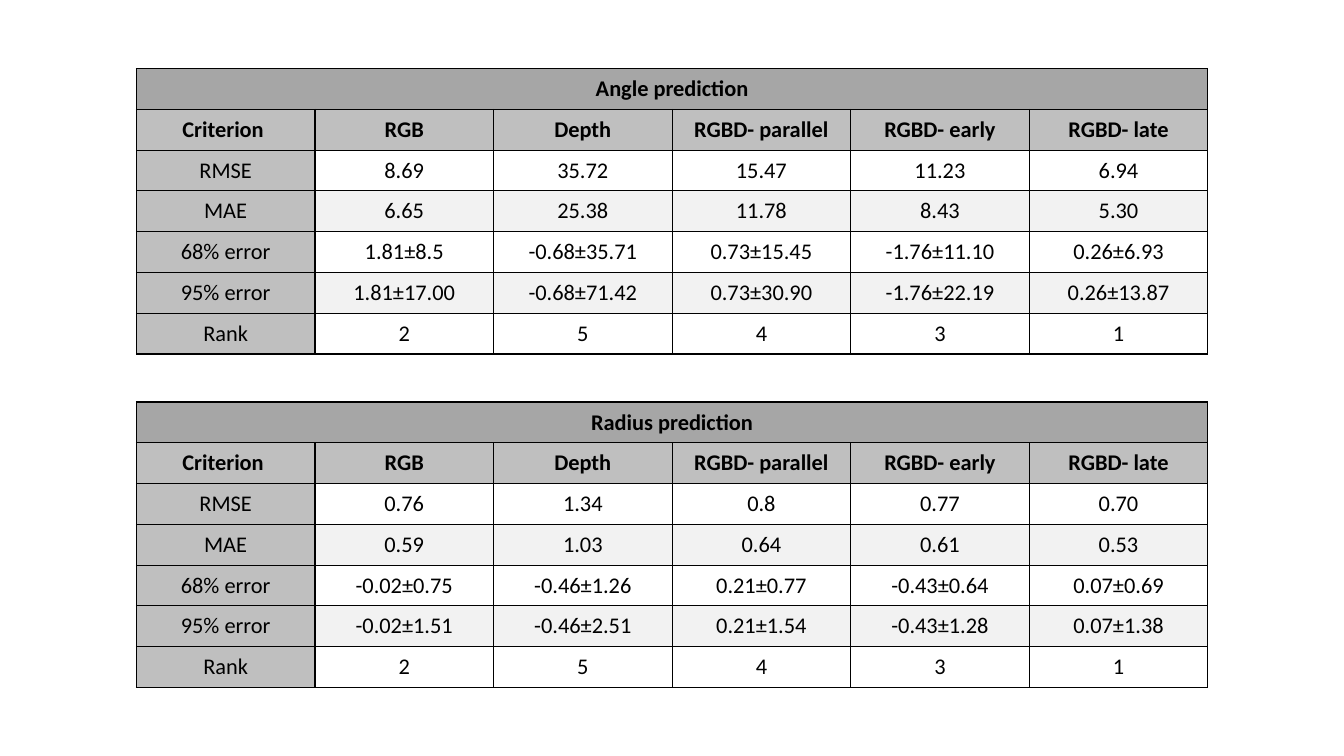
from lxml.etree import SubElement
from pptx import Presentation
from pptx.dml.color import RGBColor
from pptx.enum.text import MSO_ANCHOR as Anchor, PP_ALIGN as Align
from pptx.oxml.ns import qn
from pptx.util import Pt

MODELS = ["Criterion ", "RGB", "Depth", "RGBD- parallel", "RGBD- early", "RGBD- late"]
RANKS = ["Rank", "2", "5", "4", "3", "1"]

ANGLE_SCORES = [
    ["RMSE", "8.69", "35.72", "15.47", "11.23", "6.94"],
    ["MAE", "6.65", "25.38", "11.78", "8.43", "5.30"],
    ["68% error", "1.81±8.5", "-0.68±35.71", "0.73±15.45", "-1.76±11.10", "0.26±6.93"],
    ["95% error", "1.81±17.00", "-0.68±71.42", "0.73±30.90", "-1.76±22.19", "0.26±13.87"],
]
RADIUS_SCORES = [
    ["RMSE", "0.76", "1.34", "0.8", "0.77", "0.70"],
    ["MAE", "0.59", "1.03", "0.64", "0.61", "0.53"],
    ["68% error", "-0.02±0.75", "-0.46±1.26", "0.21±0.77", "-0.43±0.64", "0.07±0.69"],
    ["95% error", "-0.02±1.51", "-0.46±2.51", "0.21±1.54", "-0.43±1.28", "0.07±1.38"],
]


def color(hex_code):
    return RGBColor.from_string(hex_code)


def write(frame, text, font="Calibri", size=16, bold=False, ink="000000", align=Align.CENTER):
    paragraph = frame.paragraphs[0]
    paragraph.alignment = align
    run = paragraph.add_run()
    run.text = text
    run.font.name = font
    run.font.size = Pt(size)
    run.font.bold = bold
    run.font.color.rgb = color(ink)


class ResultsSlide:
    LEFT = 97.4
    COLUMN_WIDTH = 127.57
    ROW_HEIGHT = 29.14
    TITLE_FILL, HEADING_FILL = "A6A6A6", "BFBFBF"
    STRIPES = ["FFFFFF", "F2F2F2"]
    BORDER, BORDER_WIDTH = "000000", 1

    def __init__(self, slide):
        self.slide = slide

    def outline(self, cell):
        """Draw all four borders; must run before the cell is filled."""
        properties = cell._tc.get_or_add_tcPr()
        for side in ("a:lnL", "a:lnR", "a:lnT", "a:lnB"):
            line = SubElement(properties, qn(side), w=str(Pt(self.BORDER_WIDTH)))
            fill = SubElement(line, qn("a:solidFill"))
            SubElement(fill, qn("a:srgbClr"), val=self.BORDER)

    def cell_fill(self, row, column):
        if row == 0:
            return self.TITLE_FILL
        if row == 1 or column == 0:
            return self.HEADING_FILL
        return self.STRIPES[row % 2]

    def score_table(self, top, title, scores):
        rows = [[title] + [""] * (len(MODELS) - 1), MODELS, *scores, RANKS]
        table = self.slide.shapes.add_table(
            len(rows), len(MODELS), Pt(self.LEFT), Pt(top),
            Pt(self.COLUMN_WIDTH * len(MODELS)), Pt(self.ROW_HEIGHT * len(rows))).table
        for column in table.columns:
            column.width = Pt(self.COLUMN_WIDTH)
        for row in table.rows:
            row.height = Pt(self.ROW_HEIGHT)
        for r, texts in enumerate(rows):
            for c, text in enumerate(texts):
                cell = table.cell(r, c)
                self.outline(cell)
                cell.fill.solid()
                cell.fill.fore_color.rgb = color(self.cell_fill(r, c))
                cell.vertical_anchor = Anchor.MIDDLE
                cell.margin_left = cell.margin_right = Pt(8 if r == 0 else 6.6)
                cell.margin_top = cell.margin_bottom = Pt(4 if r == 0 else 3.3)
                if text:
                    write(cell.text_frame, text, bold=r < 2)
        table.cell(0, 0).merge(table.cell(0, len(MODELS) - 1))


def main():
    deck = Presentation()
    deck.slide_width, deck.slide_height = Pt(960), Pt(540)
    results = ResultsSlide(deck.slides.add_slide(deck.slide_layouts[6]))
    results.score_table(49, "Angle prediction", ANGLE_SCORES)
    results.score_table(287.2, "Radius prediction", RADIUS_SCORES)
    deck.save("out.pptx")


if __name__ == "__main__":
    main()
